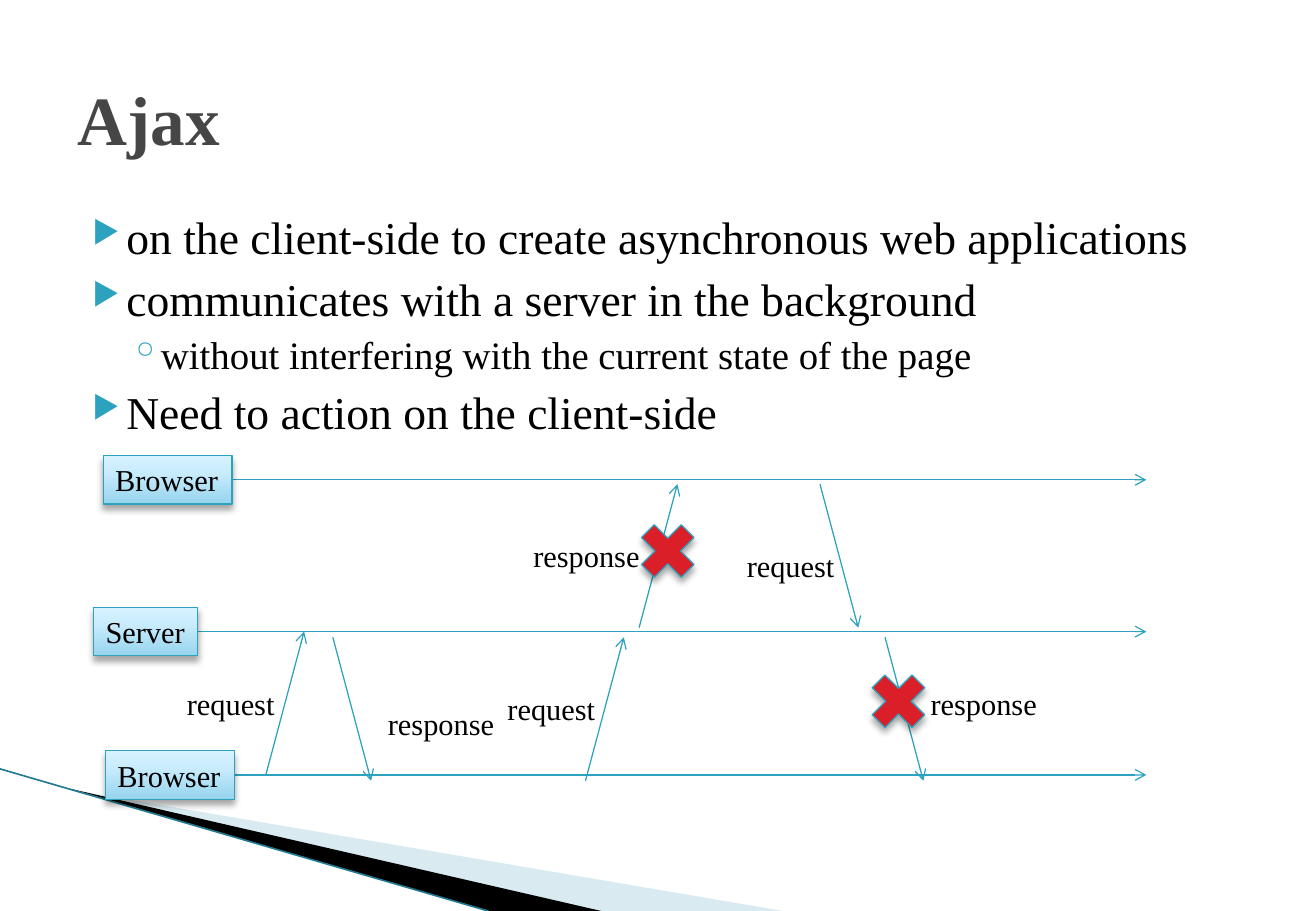
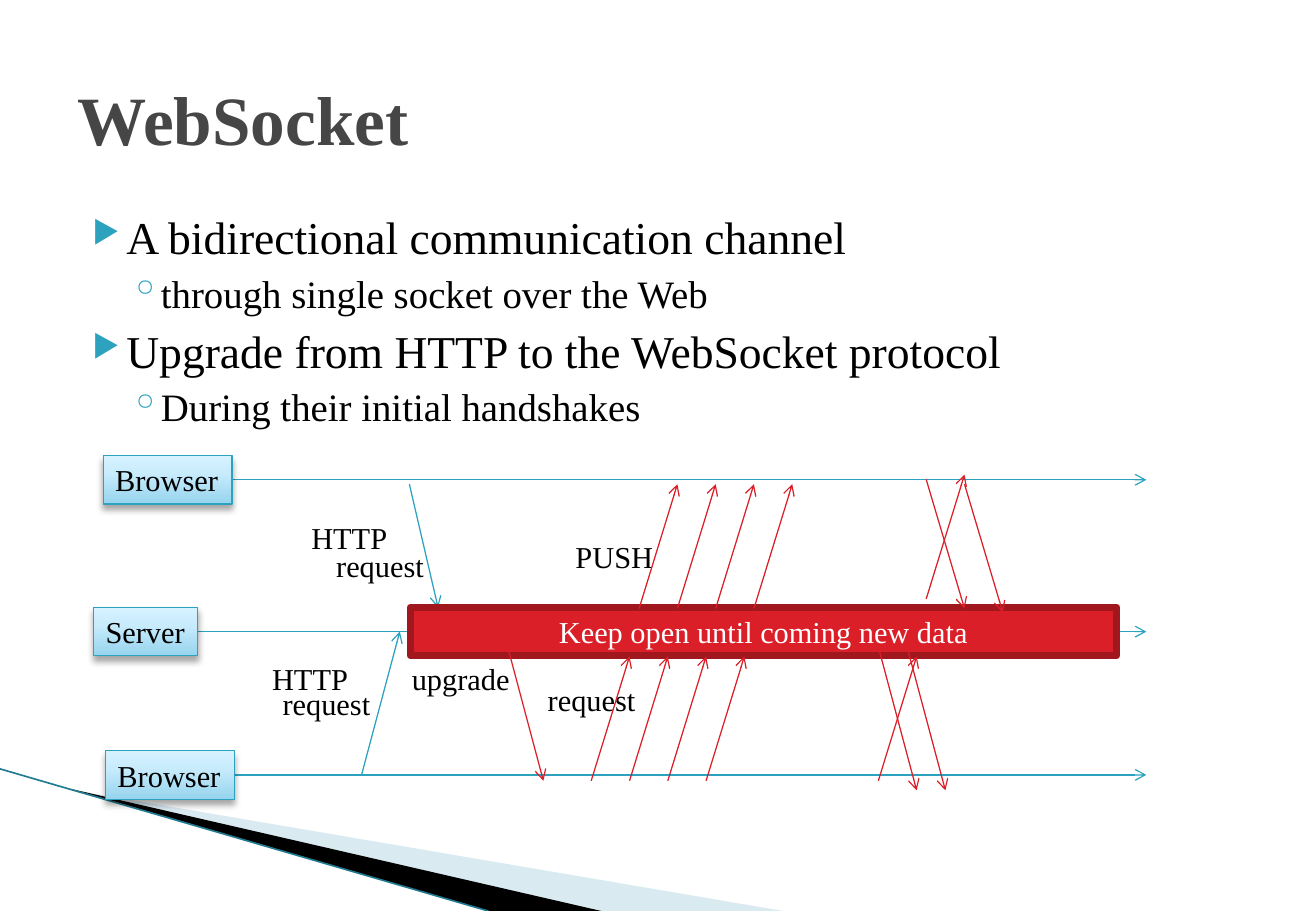
from dataclasses import dataclass

from lxml import etree
from pptx import Presentation
from pptx.dml.color import RGBColor
from pptx.enum.shapes import MSO_CONNECTOR as Connector, MSO_SHAPE as Preset
from pptx.enum.text import MSO_ANCHOR as Anchor, PP_ALIGN as Align
from pptx.oxml.ns import nsdecls, qn
from pptx.oxml import parse_xml
from pptx.util import Emu, Inches, Pt


@dataclass(frozen=True)
class Theme:
    """Colours, font and type sizes shared by the slides."""
    font: str = "Times New Roman"
    title: str = "464646"
    ink: str = "000000"
    white: str = "FFFFFF"
    teal: str = "2DA2BF"
    edge: str = "1F7A90"
    pale: str = "A0CBDC"
    red: str = "DA1F28"
    dark_red: str = "A1171E"
    gradient: tuple = ((0, "96D4EE"), (65, "C9ECFC"), (100, "D7F2FF"))
    title_size: float = 41
    body_sizes: tuple = (27, 23)
    label_size: float = 18
    thin: float = 0.75
    bar_line: float = 4.33


@dataclass(frozen=True)
class Grid:
    """A grid of square cells that starts at a point, in inches."""
    left: float
    top: float
    cell: float

    def point(self, column, row):
        """Return the slide position of a grid point."""
        return Inches(self.left + column * self.cell), Inches(self.top + row * self.cell)

    def box(self, column, row, columns, rows):
        """Return left, top, width and height of a block of cells."""
        return (*self.point(column, row), Inches(columns * self.cell), Inches(rows * self.cell))


THEME = Theme()
WIDTH, HEIGHT = 10.83, 7.5
DIAGRAM = Grid(0.77, 3.75, WIDTH / 137.5)
BOX_ROWS, SLOPE, LANE_END = 5.08, 4, 110
LANES = (("Browser", 1, 0, 13.46), ("Server", 0, 15.87, 10.9), ("Browser", 1.25, 30.85, 13.46))
LABEL_COLUMNS = {"request": 11.8, "response": 13.85, "HTTP": 10.5, "upgrade": 13, "PUSH": 10.8}
BULLETS = (
    dict(char="▶", percent=68, left=0.4, hanging=0.28, before=4),
    dict(char="◦", percent=100, left=0.68, hanging=0.25, before=3.2),
)


def color(code):
    """Turn a hex code into a colour."""
    return RGBColor.from_string(code)


def share(left, top, width, height):
    """Turn shares of the slide into a box."""
    return (Inches(left * WIDTH), Inches(top * HEIGHT),
            Inches(width * WIDTH), Inches(height * HEIGHT))


def write(paragraph, text, *, size=THEME.label_size, ink=THEME.ink, bold=False, align=None):
    """Write formatted text into a paragraph."""
    run = paragraph.add_run()
    run.text = text
    run.font.name, run.font.size, run.font.bold = THEME.font, Pt(size), bold
    run.font.color.rgb = color(ink)
    paragraph.alignment = align


def add_text(slide, box, text, *, wrap=True, anchor=Anchor.TOP, **style):
    """Add a text box with one paragraph."""
    frame = slide.shapes.add_textbox(*box).text_frame
    frame.word_wrap, frame.vertical_anchor = wrap, anchor
    write(frame.paragraphs[0], text, **style)


def add_preset(slide, preset, box, fill, line, width=THEME.thin):
    """Add a preset shape with plain fill and outline."""
    shape = slide.shapes.add_shape(preset, *box)
    shape.shadow.inherit = False
    shape.fill.solid()
    shape.fill.fore_color.rgb = color(fill)
    shape.line.color.rgb, shape.line.width = color(line), Pt(width)
    return shape


def add_shadow(shape):
    """Give a shape a soft shadow below it."""
    effects = shape._element.spPr.find(qn("a:effectLst"))
    effects.append(parse_xml(
        f'<a:outerShdw {nsdecls("a")} blurRad="{Pt(4)}" dist="{Pt(3)}" dir="5400000" '
        'rotWithShape="0"><a:srgbClr val="000000"><a:alpha val="35000"/></a:srgbClr></a:outerShdw>'))


def shade(shape):
    """Replace the plain fill by the upward gradient."""
    stops = "".join(f'<a:gs pos="{at * 1000}"><a:srgbClr val="{code}"/></a:gs>'
                    for at, code in THEME.gradient)
    properties = shape._element.spPr
    properties.replace(properties.find(qn("a:solidFill")), parse_xml(
        f'<a:gradFill {nsdecls("a")} rotWithShape="1"><a:gsLst>{stops}</a:gsLst>'
        '<a:lin ang="16200000" scaled="0"/></a:gradFill>'))


def add_line(slide, start, end, ink=THEME.teal, width=THEME.thin, arrow=True):
    """Add a straight line, with an arrowhead at its end if asked."""
    connector = slide.shapes.add_connector(Connector.STRAIGHT, *start, *end)
    connector.line.color.rgb, connector.line.width = color(ink), Pt(width)
    if arrow:
        etree.SubElement(connector.line._get_or_add_ln(), qn("a:tailEnd"), type="arrow")
    etree.SubElement(connector._element.spPr, qn("a:effectLst"))


def add_wedge(slide, points, fill, alpha=100):
    """Add a filled outline through points given as shares of the slide."""
    corners = [(Inches(x * WIDTH), Inches(y * HEIGHT)) for x, y in points]
    builder = slide.shapes.build_freeform(*corners[0], scale=1.0)
    builder.add_line_segments(corners[1:], close=True)
    shape = builder.convert_to_shape(Emu(0), Emu(0))
    shape.shadow.inherit = False
    shape.fill.solid()
    shape.fill.fore_color.rgb = color(fill)
    shape.line.fill.background()
    code = shape._element.spPr.find(qn("a:solidFill"))[0]
    etree.SubElement(code, qn("a:alpha"), val=str(alpha * 1000))


def add_corner(slide):
    """Draw the wedges in the lower left corner."""
    add_wedge(slide, ((0.054, 0.867), (0.595, 1), (0.456, 1)), THEME.pale, alpha=40)
    add_wedge(slide, ((0.054, 0.866), (0.457, 1), (0.372, 1)), THEME.ink)
    add_line(slide, share(0, 0.844, 0, 0)[:2], share(0.371, 1, 0, 0)[:2],
             ink=THEME.edge, width=0.95, arrow=False)


def add_bullet(paragraph, level):
    """Set the bullet, indent and level of a paragraph."""
    bullet = BULLETS[level]
    properties = paragraph._p.get_or_add_pPr()
    properties.set("marL", str(Inches(bullet["left"])))
    properties.set("indent", str(-Inches(bullet["hanging"])))
    paragraph.level = level
    tint = etree.SubElement(properties, qn("a:buClr"))
    etree.SubElement(tint, qn("a:srgbClr"), val=THEME.teal)
    etree.SubElement(properties, qn("a:buSzPct"), val=str(bullet["percent"] * 1000))
    etree.SubElement(properties, qn("a:buChar"), char=bullet["char"])


def add_body(slide, items):
    """Add the bulleted list of (level, text) items."""
    frame = slide.shapes.add_textbox(*share(0.05, 0.223, 0.9, 0.33)).text_frame
    frame.word_wrap = True
    for index, (level, text) in enumerate(items):
        paragraph = frame.add_paragraph() if index else frame.paragraphs[0]
        add_bullet(paragraph, level)
        if index:
            paragraph.space_before = Pt(BULLETS[level]["before"])
        write(paragraph, text, size=THEME.body_sizes[level])


def add_lanes(slide, grid):
    """Draw the three named lanes with their time arrows."""
    for name, column, row, columns in LANES:
        middle = row + BOX_ROWS / 2
        add_line(slide, grid.point(column + columns, middle), grid.point(LANE_END, middle))
        shape = add_preset(slide, Preset.RECTANGLE, grid.box(column, row, columns, BOX_ROWS),
                           THEME.white, THEME.teal)
        shade(shape)
        add_shadow(shape)
        shape.text_frame.word_wrap = False
        write(shape.text_frame.paragraphs[0], name, align=Align.LEFT)


def add_messages(slide, grid, messages, ink=THEME.teal):
    """Draw arrows given as (column, start row, end row), with one slope."""
    for column, start, end in messages:
        add_line(slide, grid.point(column, start), grid.point(column + SLOPE, end), ink)


def add_labels(slide, grid, labels):
    """Write labels given as (text, column, row)."""
    for text, column, row in labels:
        add_text(slide, grid.box(column, row, LABEL_COLUMNS[text], BOX_ROWS), text, wrap=False)


def add_crosses(slide, grid, places):
    """Mark failed messages with red crosses."""
    for column, row in places:
        add_shadow(add_preset(slide, Preset.MATH_MULTIPLY, grid.box(column, row, 8, 8),
                              THEME.red, THEME.teal))


def add_open_bar(slide, grid):
    """Draw the bar of the open connection."""
    shape = add_preset(slide, Preset.RECTANGLE, grid.box(33.1, 15.87, 73.8, BOX_ROWS),
                       THEME.red, THEME.dark_red, THEME.bar_line)
    shape.text_frame.vertical_anchor = Anchor.MIDDLE
    write(shape.text_frame.paragraphs[0], "Keep open until coming new data",
          ink=THEME.white, align=Align.CENTER)


def add_base(presentation, title, items):
    """Add a slide with corner, title, list and lanes."""
    slide = presentation.slides.add_slide(presentation.slide_layouts[6])
    add_corner(slide)
    add_body(slide, items)
    add_text(slide, share(0.05, 0.046, 0.9, 0.167), title, anchor=Anchor.MIDDLE,
             size=THEME.title_size, ink=THEME.title, bold=True)
    add_lanes(slide, DIAGRAM)
    return slide


def add_ajax(presentation):
    """Build the Ajax slide."""
    slide = add_base(presentation, "Ajax", (
        (0, "on the client-side to create asynchronous web applications"),
        (0, "communicates with a server in the background"),
        (1, "without interfering with the current state of the page"),
        (0, "Need to action on the client-side")))
    add_messages(slide, DIAGRAM, (
        (18, 33.4, 18.4), (25, 19, 34), (51.4, 34, 19),
        (57, 18, 3), (75.9, 3, 18), (82.7, 19, 34)))
    add_labels(slide, DIAGRAM, (
        ("request", 8.5, 23.4), ("response", 29.5, 25.5), ("request", 42, 23.9),
        ("response", 44.7, 7.9), ("request", 67, 9), ("response", 86.2, 23.4)))
    add_crosses(slide, DIAGRAM, ((80.1, 21.7), (56, 6)))


def add_websocket(presentation):
    """Build the WebSocket slide."""
    slide = add_base(presentation, "WebSocket", (
        (0, "A bidirectional communication channel"),
        (1, "through single socket over the Web"),
        (0, "Upgrade from HTTP to the WebSocket protocol"),
        (1, "During their initial handshakes")))
    add_messages(slide, DIAGRAM, ((28, 33.4, 18.4),))
    add_line(slide, DIAGRAM.point(33, 3), DIAGRAM.point(36, 15.9))
    add_open_bar(slide, DIAGRAM)
    add_labels(slide, DIAGRAM, (
        ("HTTP", 21.5, 6), ("request", 24.1, 9), ("HTTP", 17.4, 20.8), ("request", 18.5, 23.4),
        ("upgrade", 32, 20.8), ("request", 46.2, 23), ("PUSH", 49.1, 8)))
    requests = [(52 + SLOPE * step, 34, 21) for step in range(4)]
    pushes = [(57 + SLOPE * step, 16, 3) for step in range(4)]
    exchange = [(82, 34, 21), (82, 20, 35), (85, 20, 35), (87, 15, 2), (87, 2.5, 16), (91, 3, 16.4)]
    add_messages(slide, DIAGRAM, [(43, 19, 34), *requests, *pushes, *exchange], THEME.red)


def main():
    """Build and save the presentation."""
    presentation = Presentation()
    presentation.slide_width, presentation.slide_height = Inches(WIDTH), Inches(HEIGHT)
    add_ajax(presentation)
    add_websocket(presentation)
    presentation.save("out.pptx")


if __name__ == "__main__":
    main()
